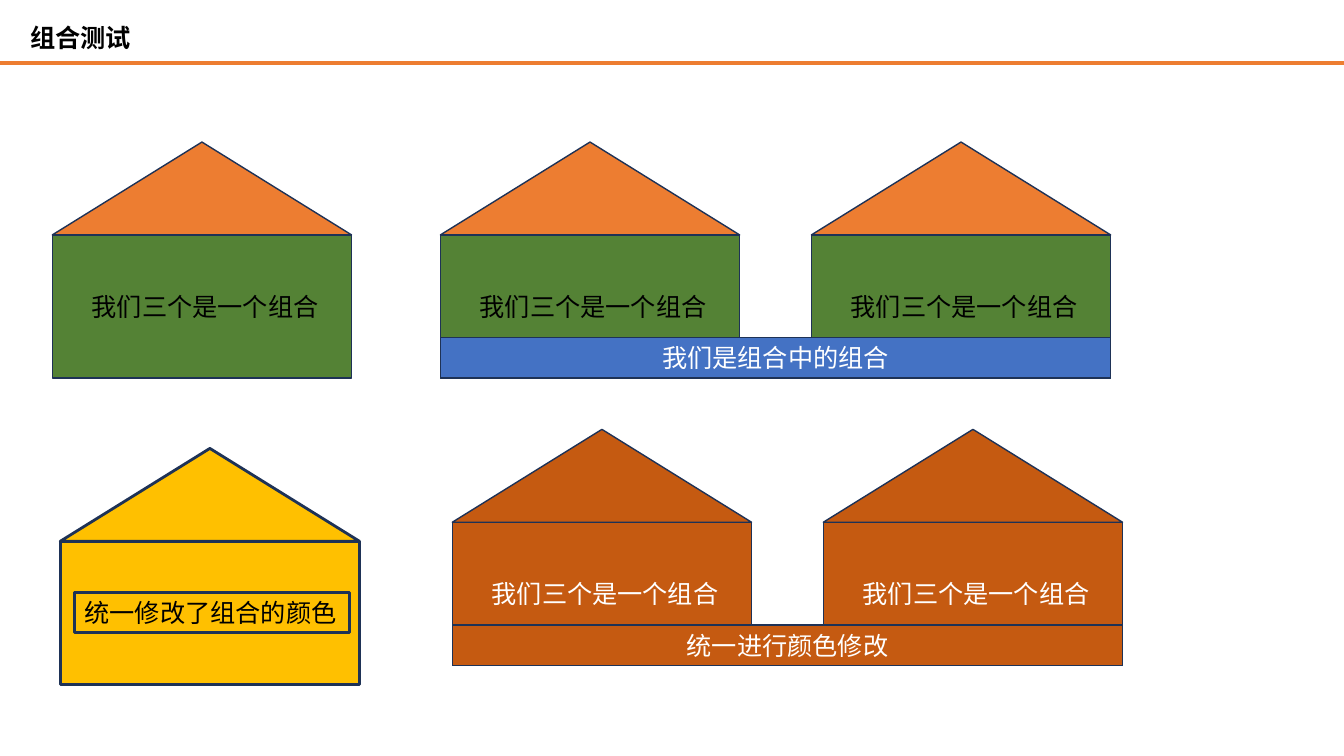
"""Build a slide that shows houses as groups and as groups within groups."""
import pptx
import pptx.util
import pptx.dml.color
import pptx.enum.shapes
import pptx.enum.text
import pptx.oxml.ns
from dataclasses import dataclass
from lxml import etree

Cm, Pt = pptx.util.Cm, pptx.util.Pt
RGB = pptx.dml.color.RGBColor.from_string
MSO = pptx.enum.shapes.MSO_SHAPE
qn = pptx.oxml.ns.qn


@dataclass(frozen=True)
class Theme:
    font: str = "Noto Sans CJK SC"
    size: int = 18
    black: str = "000000"
    white: str = "FFFFFF"
    outline: str = "1E3256"
    orange: str = "ED7D31"
    green: str = "548235"
    blue: str = "4472C4"
    gold: str = "FFC000"
    rust: str = "C55A11"


T = Theme()


def add_block(shapes, kind, x, y, w, h, fill, weight):
    sp = shapes.add_shape(kind, Cm(x), Cm(y), Cm(w), Cm(h))
    sp.shadow.inherit = False
    sp.fill.solid()
    sp.fill.fore_color.rgb = RGB(fill)
    if weight:
        sp.line.color.rgb = RGB(T.outline)
        sp.line.width = Pt(weight)
    else:
        sp.line.fill.background()
    return sp


def write(sp, text, color, centred=False, bold=False):
    tf = sp.text_frame
    p = tf.paragraphs[0]
    p.text = text
    p.font.size = Pt(T.size)
    p.font.bold = bold
    p.font.name = T.font
    p.font.color.rgb = RGB(color)
    props = p._p.get_or_add_pPr().get_or_add_defRPr()
    etree.SubElement(props, qn("a:ea"), typeface=T.font)
    tf.word_wrap = centred
    if centred:
        p.alignment = pptx.enum.text.PP_ALIGN.CENTER
        tf.vertical_anchor = pptx.enum.text.MSO_ANCHOR.MIDDLE
    else:
        p.alignment = pptx.enum.text.PP_ALIGN.LEFT
        tf.vertical_anchor = pptx.enum.text.MSO_ANCHOR.TOP
        tf.auto_size = pptx.enum.text.MSO_AUTO_SIZE.SHAPE_TO_FIT_TEXT


prs = pptx.Presentation()
prs.slide_width, prs.slide_height = Cm(33.87), Cm(19.05)
s = prs.slides.add_slide(prs.slide_layouts[6])

title = s.shapes.add_textbox(Cm(0.51), Cm(0.43), Cm(3.07), Cm(1.02))
write(title, "组合测试", T.black, bold=True)

rule = s.shapes.add_connector(
    pptx.enum.shapes.MSO_CONNECTOR.STRAIGHT, 0, Cm(1.58), prs.slide_width, Cm(1.58))
rule.line.color.rgb = RGB(T.orange)
rule.line.width = Pt(3)
etree.SubElement(rule._element.spPr, qn("a:effectLst"))

HOUSE_W, WALL_H, ROOF_H, LABEL_H = 7.54, 3.61, 2.34, 1.02
HOUSE_STEP = 9.35
MEMBER = "我们三个是一个组合"

# left, top, wall, roof, outline, label (text, colour, fill, outline, inset, width), base (text, fill)
plain = (MEMBER, T.black, None, 0, 0.74, 6.48)
recoloured = ("统一修改了组合的颜色", T.black, T.gold, 2, 0.36, 6.93)
rusty = (MEMBER, T.white, T.rust, 0, 0.74, 6.48)
clusters = [
    (1.32, 3.58, T.green, T.orange, 1, plain, None),
    (11.1, 3.58, T.green, T.orange, 1, plain, ("我们是组合中的组合", T.blue)),
    (1.52, 11.3, T.gold, T.gold, 2, recoloured, None),
    (11.4, 10.82, T.rust, T.rust, 1, rusty, ("统一进行颜色修改", T.rust)),
]

for left, top, wall, roof, weight, label, base in clusters:
    text, color, label_fill, label_weight, inset, label_w = label
    cluster = s.shapes.add_group_shape()
    for i in range(2 if base else 1):
        house = cluster.shapes.add_group_shape() if base else cluster
        x, eaves = left + i * HOUSE_STEP, top + ROOF_H
        add_block(house.shapes, MSO.RECTANGLE, x, eaves, HOUSE_W, WALL_H, wall, weight)
        add_block(house.shapes, MSO.ISOSCELES_TRIANGLE, x, top, HOUSE_W, ROOF_H, roof, weight)
        box = (x + inset, eaves + 1.29, label_w, LABEL_H)
        if label_fill:
            sp = add_block(house.shapes, MSO.RECTANGLE, *box, label_fill, label_weight)
        else:
            sp = house.shapes.add_textbox(*map(Cm, box))
        write(sp, text, color)
    if base:
        base_text, base_fill = base
        sp = add_block(cluster.shapes, MSO.RECTANGLE, left, top + ROOF_H + WALL_H - LABEL_H,
                       HOUSE_STEP + HOUSE_W, LABEL_H, base_fill, weight)
        write(sp, base_text, T.white, centred=True)

prs.save("out.pptx")
